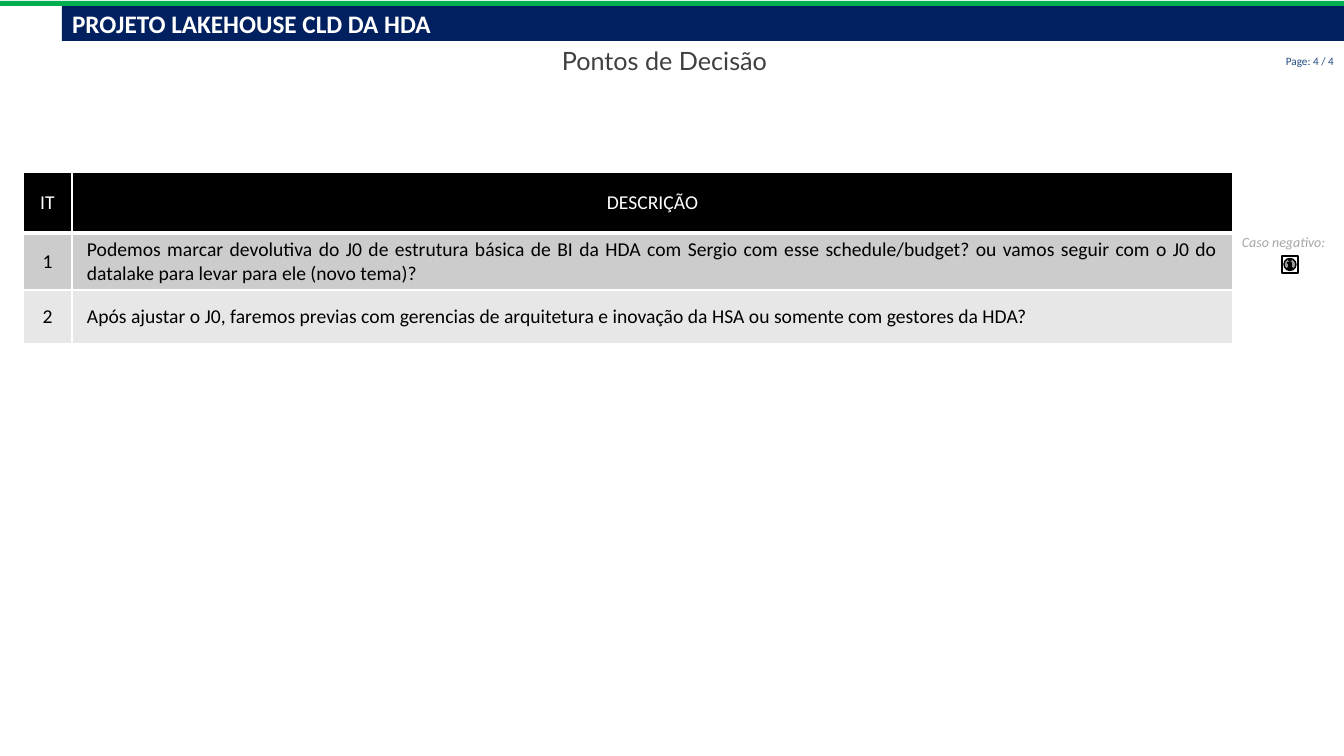
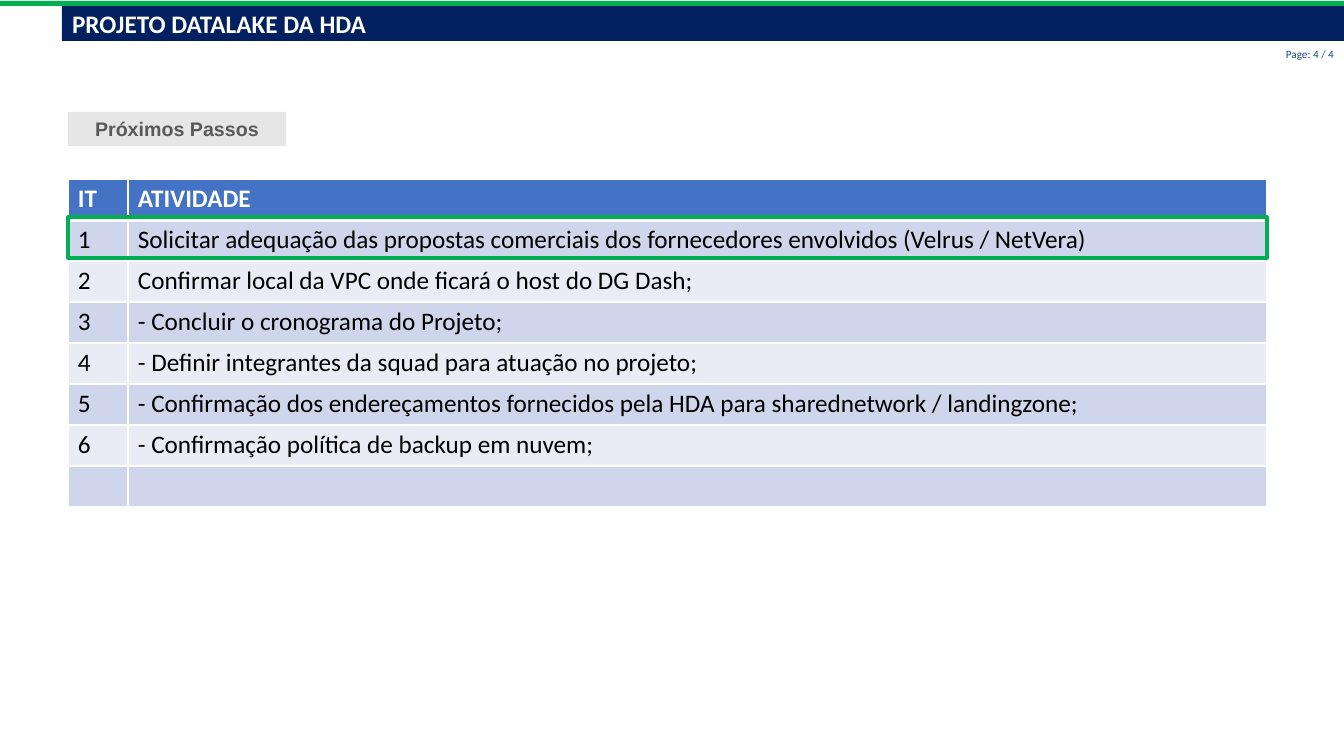
from lxml.etree import SubElement
from pptx import Presentation
from pptx.dml.color import RGBColor
from pptx.enum.shapes import MSO_SHAPE
from pptx.enum.text import MSO_ANCHOR, MSO_AUTO_SIZE, PP_ALIGN
from pptx.oxml.ns import qn
from pptx.util import Pt

WHITE, BLACK, GREEN, NAVY = "FFFFFF", "000000", "00B050", "002060"
LEFT, CENTER, RIGHT, JUSTIFY = PP_ALIGN.LEFT, PP_ALIGN.CENTER, PP_ALIGN.RIGHT, PP_ALIGN.JUSTIFY
SLIDE_W, SLIDE_H = 1344, 756

DECISIONS = {
    "at": (23, 172),
    "cols": (49, 1161),
    "heights": (61, 57, 54),
    "rows": [
        ("IT", "DESCRIÇÃO"),
        ("1", "Podemos marcar devolutiva do J0 de estrutura básica de BI da HDA com Sergio com esse "
              "schedule/budget? ou vamos seguir com o J0 do datalake para levar para ele (novo tema)?"),
        ("2", "Após ajustar o J0, faremos previas com gerencias de arquitetura e inovação da HSA "
              "ou somente com gestores da HDA?"),
    ],
    "fills": (BLACK, "CCCCCC", "E7E7E7"),
    "size": 14,
    "header_bold": False,
    "header_align": (CENTER, CENTER),
    "body_align": (CENTER, JUSTIFY),
    "anchor": MSO_ANCHOR.MIDDLE,
    "inset": (15, 5),
}
ACTIVITIES = {
    "at": (68, 179),
    "cols": (60, 1139),
    "heights": (41,) * 8,
    "rows": [
        ("IT", "ATIVIDADE"),
        ("1", "Solicitar adequação das propostas comerciais dos fornecedores envolvidos (Velrus / NetVera)"),
        ("2", "Confirmar local da VPC onde ficará o host do DG Dash;"),
        ("3", "- Concluir o cronograma do Projeto;"),
        ("4", "- Definir integrantes da squad para atuação no projeto;"),
        ("5", "- Confirmação dos endereçamentos fornecidos pela HDA para sharednetwork / landingzone;"),
        ("6", "- Confirmação política de backup em nuvem;"),
        ("", ""),
    ],
    "fills": ("4472C4", "CFD5EA", "E9EBF5"),
    "size": 18,
    "header_bold": True,
    "header_align": (LEFT, LEFT),
    "body_align": (LEFT, LEFT),
    "anchor": MSO_ANCHOR.TOP,
    "inset": (10, 5),
}


def px(n):
    return round(n * 914400 / 100.8)


def color(value):
    return RGBColor.from_string(value)


def write(tf, text, size, ink, align=LEFT, font="Calibri", bold=False, italic=False):
    p = tf.paragraphs[0]
    p.alignment = align
    r = p.add_run()
    r.text = text
    f = r.font
    f.name, f.size, f.bold, f.italic = font, Pt(size), bold, italic
    f.color.rgb = color(ink)
    return p


def add_text(s, box, text, size, ink, wrap=True, inset=(10, 5), **style):
    tf = s.shapes.add_textbox(*map(px, box)).text_frame
    tf.word_wrap = wrap
    tf.margin_left = tf.margin_right = px(inset[0])
    tf.margin_top = tf.margin_bottom = px(inset[1])
    return write(tf, text, size, ink, **style)


def add_box(s, box, fill=None, line=None, width=1, kind=MSO_SHAPE.RECTANGLE):
    sp = s.shapes.add_shape(kind, *map(px, box))
    sp.shadow.inherit = False
    if fill:
        sp.fill.solid()
        sp.fill.fore_color.rgb = color(fill)
    else:
        sp.fill.background()
    if line:
        sp.line.color.rgb = color(line)
        sp.line.width = Pt(width)
    else:
        sp.line.fill.background()
    return sp


def add_borders(cell, bottom):
    tcPr = cell._tc.get_or_add_tcPr()
    for side, width in (("L", 1), ("R", 1), ("T", 1), ("B", bottom)):
        ln = SubElement(tcPr, qn("a:ln" + side), w=str(Pt(width)))
        SubElement(SubElement(ln, qn("a:solidFill")), qn("a:srgbClr"), val=WHITE)


def add_grid(s, data):
    rows, cols, heights = data["rows"], data["cols"], data["heights"]
    box = (*data["at"], sum(cols), sum(heights))
    table = s.shapes.add_table(len(rows), len(cols), *map(px, box)).table
    table.first_row = table.horz_banding = False
    for column, width in zip(table.columns, cols):
        column.width = px(width)
    header_fill, *bands = data["fills"]
    for i, row in enumerate(rows):
        table.rows[i].height = px(heights[i])
        header = i == 0
        aligns = data["header_align" if header else "body_align"]
        for j, text in enumerate(row):
            cell = table.cell(i, j)
            cell.vertical_anchor = data["anchor"]
            cell.margin_left = cell.margin_right = px(data["inset"][0])
            cell.margin_top = cell.margin_bottom = px(data["inset"][1])
            add_borders(cell, 3 if header else 1)
            cell.fill.solid()
            cell.fill.fore_color.rgb = color(header_fill if header else bands[(i - 1) % 2])
            if text:
                write(cell.text_frame, text, data["size"], WHITE if header else BLACK,
                      aligns[j], bold=header and data["header_bold"])


def add_slide(prs, title, page_top):
    s = prs.slides.add_slide(prs.slide_layouts[5])
    add_box(s, (-1, 1, SLIDE_W + 6, 5), GREEN)
    sp = s.shapes.title
    sp.left, sp.top, sp.width, sp.height = map(px, (62, 5, SLIDE_W - 62, 36))
    sp.fill.solid()
    sp.fill.fore_color.rgb = color(NAVY)
    tf = sp.text_frame
    tf.auto_size = MSO_AUTO_SIZE.NONE
    tf.vertical_anchor = MSO_ANCHOR.MIDDLE
    write(tf, title, 18, WHITE, bold=True)
    add_text(s, (1260, page_top, 84, 24), "Page: 4 / 4", 8, "1F497F", align=RIGHT)
    return s


def build_decisions(prs):
    s = add_slide(prs, "PROJETO LAKEHOUSE CLD DA HDA", 49)
    add_grid(s, DECISIONS)
    p = add_text(s, (440, 48, 449, 31), "Pontos de Decisão", 18, "404040",
                 inset=(4, 4), align=CENTER, font="Lato")
    p.line_spacing = 0.75
    add_box(s, (1282, 256, 16, 17), WHITE, BLACK, kind=MSO_SHAPE.ACTION_BUTTON_INFORMATION)
    add_text(s, (1232, 229, 105, 27), "Caso negativo:", 10, "A6A6A6", wrap=False, italic=True)


def build_next_steps(prs):
    s = add_slide(prs, "PROJETO DATALAKE DA HDA", 42)
    label = add_box(s, (68, 112, 218, 34), "E7E6E6")
    label.text_frame.vertical_anchor = MSO_ANCHOR.MIDDLE
    write(label.text_frame, "Próximos Passos", 14, "595959", CENTER, "Arial", bold=True)
    add_grid(s, ACTIVITIES)
    add_box(s, (68, 217, sum(ACTIVITIES["cols"]), 41), line=GREEN, width=2.25)


def main():
    prs = Presentation()
    prs.slide_width, prs.slide_height = px(SLIDE_W), px(SLIDE_H)
    build_decisions(prs)
    build_next_steps(prs)
    prs.save("out.pptx")


if __name__ == "__main__":
    main()
